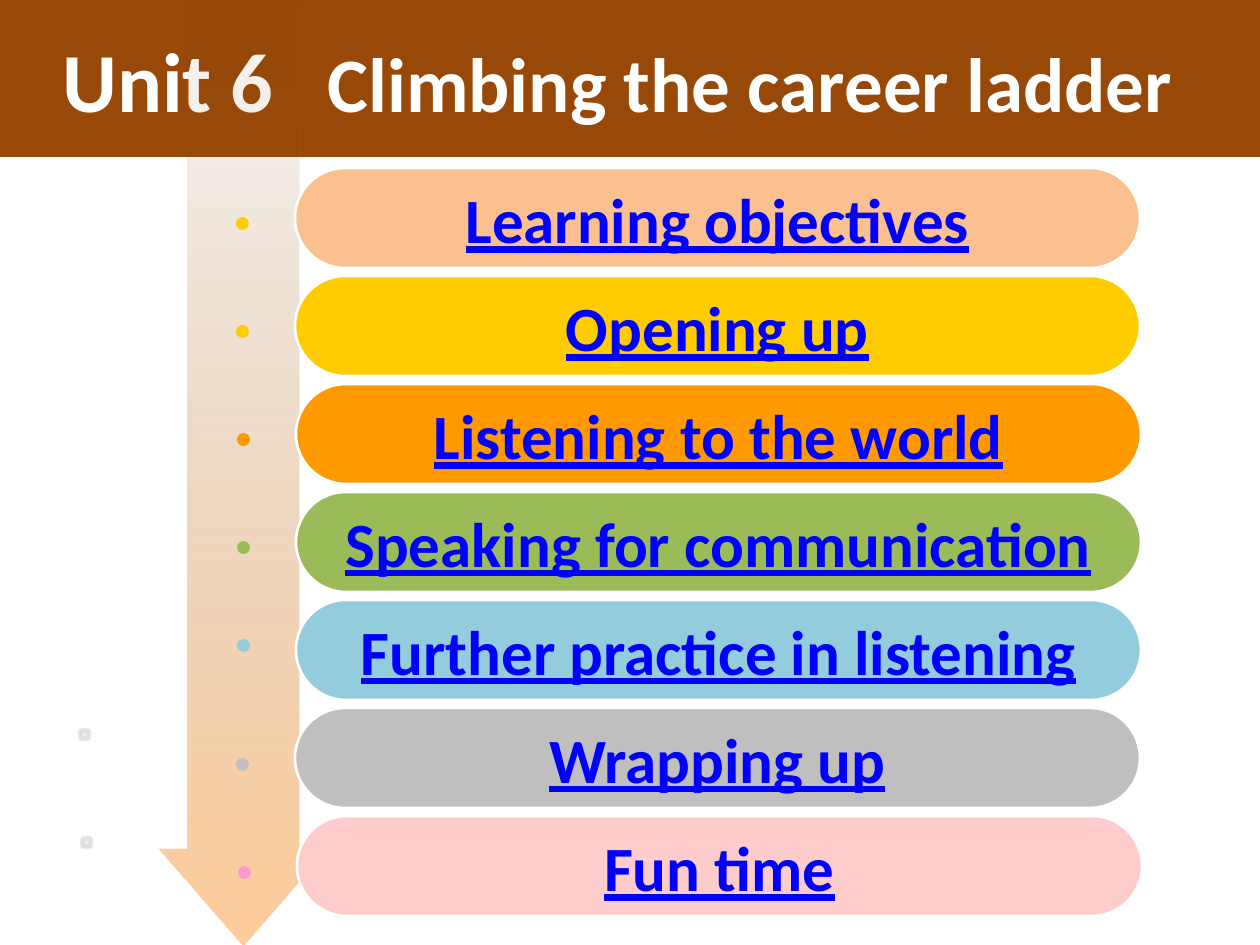
from lxml import etree
from pptx import Presentation
from pptx import util as u
from pptx.dml.color import RGBColor
from pptx.enum import shapes, text
from pptx.oxml.ns import qn

PX_PER_INCH = 126
WIDTH, HEIGHT = 1260, 945
FONT = "Calibri"
DOT_SIZE = 13
PILL_SIZE = (845, 100)
PILL_TOP, PILL_PITCH = 168, 108

# label, left, pill colour, dot colour, dot offset from pill top, faint dot shown
UNIT_PARTS = [
    ("Learning objectives", 295, "FAC090", "FFCC00", 49, False),
    ("Opening up", 295, "FFCC00", "FFCC00", 49, False),
    ("Listening to the world", 296, "FF9900", "FF9900", 49, False),
    ("Speaking for communication", 296, "9BBB59", "9BBB59", 49, False),
    ("Further practice in listening", 296, "93CDDD", "93CDDD", 39, False),
    ("Wrapping up", 295, "BFBFBF", "BFBFBF", 50, True),
    ("Fun time", 297, "FFCCCC", "FF99CC", 50, True),
]


def px(length):
    return u.Emu(round(length * 914400 / PX_PER_INCH))


def color(hex_code):
    return RGBColor.from_string(hex_code)


def format_run(run, size, hex_code):
    run.font.name = FONT
    run.font.size = u.Pt(size)
    run.font.bold = True
    run.font.color.rgb = color(hex_code)


def add_plain_shape(slide, kind, box, fill=None):
    shape = slide.shapes.add_shape(kind, *map(px, box))
    shape.shadow.inherit = False
    shape.line.fill.background()
    if fill:
        shape.fill.solid()
        shape.fill.fore_color.rgb = color(fill)
    return shape


def fill_gradient(shape, stops, from_center=False):
    """Fill with two (colour, opacity percent) stops, downwards or from the centre."""
    shape.fill.gradient()
    shape.fill.gradient_angle = 270
    gradient = shape._element.spPr.find(qn("a:gradFill"))
    for stop, (hex_code, opacity) in zip(shape.fill.gradient_stops, stops):
        stop.color.rgb = color(hex_code)
    for element, (_, opacity) in zip(gradient.iter(qn("a:srgbClr")), stops):
        etree.SubElement(element, qn("a:alpha"), val=str(opacity * 1000))
    if from_center:
        linear = gradient.find(qn("a:lin"))
        center = etree.Element(qn("a:path"), {"path": "shape"})
        etree.SubElement(center, qn("a:fillToRect"),
                         {side: "50000" for side in "ltrb"})
        gradient.replace(linear, center)


def add_banner(slide, left, top, width, height):
    title = slide.shapes.title
    title.left, title.top, title.width, title.height = map(
        px, (left, top, width, height))
    title.fill.solid()
    title.fill.fore_color.rgb = color("984807")
    frame = title.text_frame
    frame.text = ""
    frame.word_wrap = True
    frame.auto_size = text.MSO_AUTO_SIZE.NONE
    frame.vertical_anchor = text.MSO_ANCHOR.MIDDLE
    paragraph = frame.paragraphs[0]
    paragraph.alignment = text.PP_ALIGN.LEFT
    properties = paragraph._p.get_or_add_pPr()
    properties.set("marL", "0")
    properties.set("indent", str(px(50)))
    tabs = etree.SubElement(properties, qn("a:tabLst"))
    etree.SubElement(tabs, qn("a:tab"), pos=str(px(314)), algn="l")
    for words, size in (("Unit 6\t", 48), ("Climbing the career ladder", 44)):
        run = paragraph.add_run()
        run.text = words
        format_run(run, size, "FFFFFF")


def add_down_arrow(slide, left, top, width, height):
    arrow = add_plain_shape(slide, shapes.MSO_SHAPE.UP_ARROW,
                            (left, top, width, height))
    arrow.rotation = 180
    arrow.adjustments[0] = 0.66
    arrow.adjustments[1] = 0.58
    fill_gradient(arrow, [("FF9933", 50), ("764718", 0)])


def add_unit_part(slide, left, top, label, pill_color, dot_color, dot_offset, faint):
    pill = add_plain_shape(slide, shapes.MSO_SHAPE.ROUNDED_RECTANGLE,
                           (left, top, *PILL_SIZE), pill_color)
    pill.adjustments[0] = 0.5
    pill.line.color.rgb = color("FFFFFF")
    pill.line.width = u.Pt(1.5)
    frame = pill.text_frame
    frame.text = label
    frame.word_wrap = False
    frame.vertical_anchor = text.MSO_ANCHOR.MIDDLE
    paragraph = frame.paragraphs[0]
    paragraph.alignment = text.PP_ALIGN.CENTER
    format_run(paragraph.runs[0], 36, "0000FF")
    paragraph.runs[0].font.underline = True

    add_plain_shape(slide, shapes.MSO_SHAPE.OVAL,
                    (left - 59, top + dot_offset, DOT_SIZE, DOT_SIZE), dot_color)
    if faint:
        faint_dot = add_plain_shape(slide, shapes.MSO_SHAPE.OVAL,
                                    (left - 217, top + 20, DOT_SIZE, DOT_SIZE))
        fill_gradient(faint_dot, [("FFFFFF", 50), ("000000", 0)], from_center=True)


def main():
    presentation = Presentation()
    presentation.slide_width, presentation.slide_height = px(WIDTH), px(HEIGHT)
    slide = presentation.slides.add_slide(presentation.slide_layouts[5])
    add_banner(slide, 0, 0, WIDTH, 157)
    add_down_arrow(slide, 159, -98, 168, 1043)
    for index, (label, left, *style) in enumerate(UNIT_PARTS):
        add_unit_part(slide, left, PILL_TOP + index * PILL_PITCH, label, *style)
    presentation.save("out.pptx")


if __name__ == "__main__":
    main()
